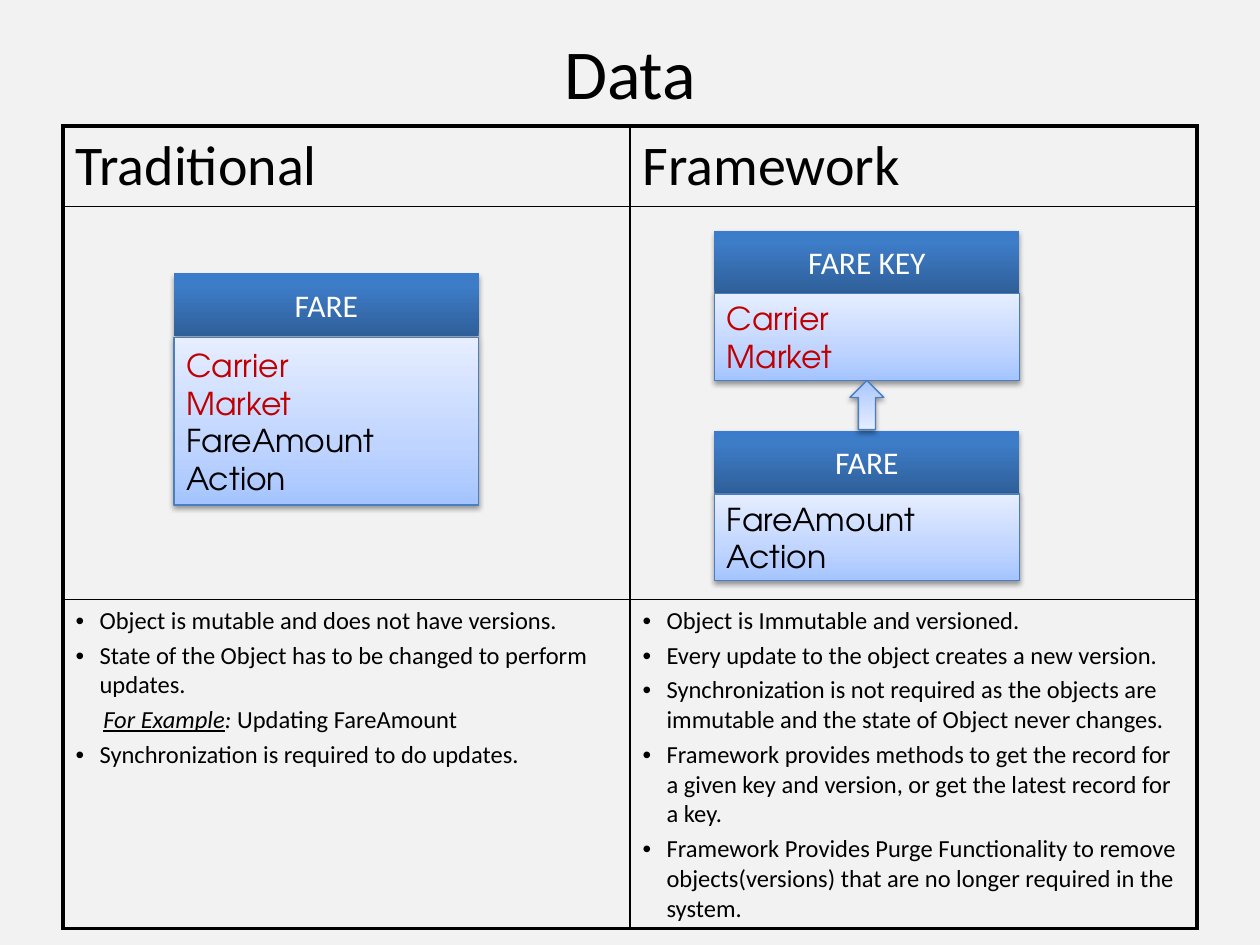
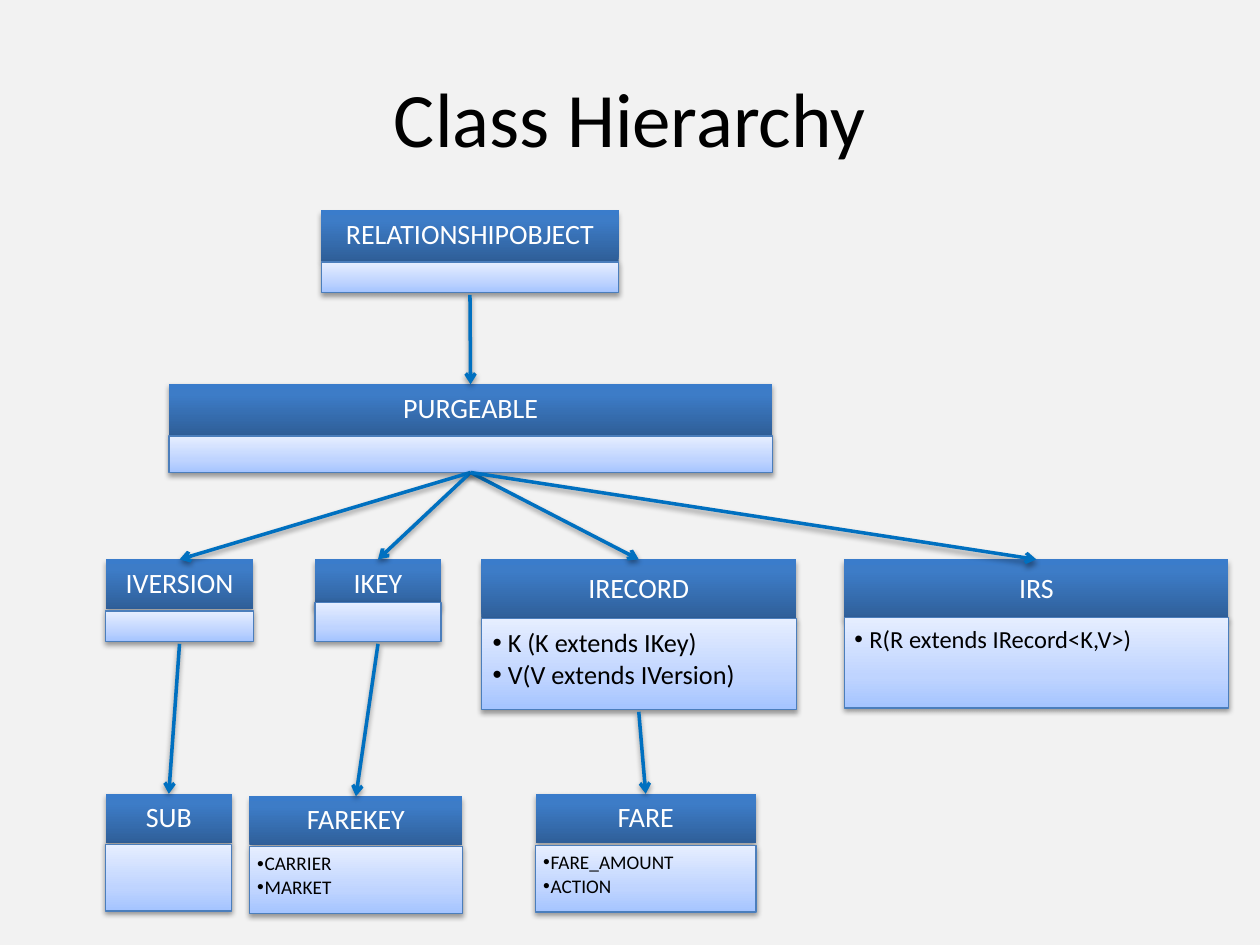
from pptx import Presentation
from pptx.dml.color import RGBColor
from pptx.enum.shapes import MSO_CONNECTOR, MSO_SHAPE
from pptx.enum.text import MSO_ANCHOR, PP_ALIGN
from pptx.oxml import parse_xml
from pptx.oxml.ns import nsdecls
from pptx.util import Inches, Pt

# Shared look
BACK, BLACK, WHITE, RED = "F2F2F2", "000000", "FFFFFF", "C00000"
EDGE, ARROW = "4B7EBC", "0070C0"
SANS, ROUND = "Calibri", "TeX Gyre Adventor"
DARK = [(0, "2F5F99"), (80, "3D7CC7"), (100, "3A7CCB")]
LIGHT = [(0, "A4C4FF"), (35, "BFD4FF"), (100, "E6EEFF")]
DARK_SHADOW, LIGHT_SHADOW = (35, 3.1, 1.8), (38, 3.1, 1.6)  # alpha, blur, distance
PLAIN_INSETS = (0.1, 0.05, 0.1, 0.05)
HEAD_INSETS = (0.12, 0.07, 0.12, 0.07)

# Slide 1: comparison table
TABLE_LEFT, TABLE_TOP, COL_W = 0.5, 1, 4.5
ROW_H = [0.64, 3.12, 2.61]
HEADINGS = ["Traditional", "Framework"]
EXAMPLE = [("For Example", {"italic": True, "underline": True}),
           (": ", {"italic": True}), ("Updating FareAmount", {})]
POINTS = [
    ["Object is mutable and does not have versions.",
     "State of the Object has to be changed to perform updates.",
     EXAMPLE,
     "Synchronization is required to do updates."],
    ["Object is Immutable and versioned.",
     "Every update to the object creates a new version.",
     "Synchronization is not required as the objects are immutable and the "
     "state of Object never changes.",
     "Framework provides methods to get the record for a given key and "
     "version, or get the latest record for a key.",
     "Framework Provides Purge Functionality to remove objects(versions) that "
     "are no longer required in the system."],
]
KEY_FIELDS = [("Carrier", RED), ("Market", RED)]
VALUE_FIELDS = [("FareAmount", BLACK), ("Action", BLACK)]
ENTITY_W, ENTITY_HEAD = 2.42, 0.5
# name, left, top, gap under the head, body height, fields
ENTITIES = [
    ("FARE", 1.38, 2.17, 0.01, 1.33, KEY_FIELDS + VALUE_FIELDS),
    ("FARE KEY", 5.67, 1.83, 0, 0.69, KEY_FIELDS),
    ("FARE", 5.67, 3.42, 0, 0.69, VALUE_FIELDS),
]
LINK_W, LINK_H = 0.27, 0.39

# Slide 2: class boxes on four levels
ROOT, BASE, TYPES, LEAVES = 1.67, 3.05, 4.44, 6.3
ROOMY = {"size": 15, "insets": (0.09, 0.09, 0.12, 0.13), "indent": 0.12}
MEDIUM = {"size": 14, "insets": (0.08, 0.08, 0.11, 0.12), "indent": 0.12}
SMALL = {"size": 11, "insets": (0.06, 0.06, 0.09, 0.1), "indent": 0.06}
# name: left, top, width, head height, body offset, body height, members, style
CLASSES = {
    "PURGEABLE": (1.34, BASE, 4.79, 0.4, 0.41, 0.29, [], SMALL),
    "IKEY": (2.5, TYPES, 1, 0.39, 0.34, 0.31, [], SMALL),
    "IRECORD": (3.82, TYPES, 2.5, 0.47, 0.47, 0.72,
                ["K (K extends IKey)", "V(V extends IVersion)"], ROOMY),
    "IRS": (6.7, TYPES, 3.05, 0.47, 0.46, 0.72,
            ["R(R extends IRecord<K,V>)"], MEDIUM),
    "IVERSION": (0.84, TYPES, 1.17, 0.39, 0.41, 0.24, [], SMALL),
    "RELATIONSHIPOBJECT": (2.55, ROOT, 2.36, 0.4, 0.41, 0.24, [], SMALL),
    "FAREKEY": (1.98, LEAVES + 0.02, 1.69, 0.39, 0.4, 0.53,
                ["CARRIER", "MARKET"], SMALL),
    "FARE": (4.25, LEAVES, 1.75, 0.39, 0.41, 0.53,
             ["FARE_AMOUNT", "ACTION"], SMALL),
    "SUB": (0.84, LEAVES, 1, 0.39, 0.4, 0.53, [], SMALL),
}
# parent, gap before the arrow starts, children
LINKS = [
    ("RELATIONSHIPOBJECT", 0.02, ["PURGEABLE"]),
    ("PURGEABLE", 0, ["IVERSION", "IKEY", "IRECORD", "IRS"]),
    ("IVERSION", 0.02, ["SUB"]),
    ("IKEY", 0.02, ["FAREKEY"]),
    ("IRECORD", 0.02, ["FARE"]),
]


def rgb(value):
    """Turn a hex string into a colour."""
    return RGBColor.from_string(value)


def color_xml(value, alpha=100):
    """Return colour markup with an opacity in percent."""
    return f'<a:srgbClr val="{value}"><a:alpha val="{alpha * 1000}"/></a:srgbClr>'


def set_gradient(sp, stops):
    """Fill a new shape with a gradient that runs upwards."""
    gs = "".join(f'<a:gs pos="{pos * 1000}">{color_xml(c)}</a:gs>' for pos, c in stops)
    sp._element.spPr.append(parse_xml(
        f'<a:gradFill {nsdecls("a")} rotWithShape="1"><a:gsLst>{gs}</a:gsLst>'
        '<a:lin ang="16200000" scaled="0"/></a:gradFill>'))


def set_shadow(sp, alpha, blur, dist):
    """Append a soft shadow that falls straight down."""
    sp._element.spPr.append(parse_xml(
        f'<a:effectLst {nsdecls("a")}><a:outerShdw blurRad="{Pt(blur)}" '
        f'dist="{Pt(dist)}" dir="5400000" rotWithShape="0">'
        f'{color_xml(BLACK, alpha)}</a:outerShdw></a:effectLst>'))


def set_frame(tf, insets=PLAIN_INSETS, anchor=MSO_ANCHOR.MIDDLE):
    """Set wrapping, insets and anchor of a text frame."""
    sides = ("margin_left", "margin_top", "margin_right", "margin_bottom")
    for side, value in zip(sides, insets):
        setattr(tf, side, Inches(value))
    tf.word_wrap, tf.vertical_anchor = True, anchor


def add_line(tf, first, text, size, color=BLACK, font=SANS, bullet=0, indent=0, **fmt):
    """Write one paragraph; text is a string or a list of (text, format) runs."""
    p = tf.paragraphs[0] if first else tf.add_paragraph()
    for name, value in {"alignment": PP_ALIGN.LEFT, **fmt}.items():
        setattr(p, name, value)
    for part, style in [(text, {})] if isinstance(text, str) else text:
        r = p.add_run()
        r.text = part
        r.font.color.rgb = rgb(color)
        for name, value in {"name": font, "size": Pt(size), **style}.items():
            setattr(r.font, name, value)
    pPr = p._p.get_or_add_pPr()
    pPr.set("marL", str(Inches(bullet or indent)))
    pPr.set("indent", str(-Inches(bullet)))
    if bullet:
        pPr.append(parse_xml(f'<a:buFont {nsdecls("a")} typeface="Arial"/>'))
        pPr.append(parse_xml(f'<a:buChar {nsdecls("a")} char="•"/>'))


def add_box(slide, x, y, w, h, stops, shadow, line=None, kind=MSO_SHAPE.RECTANGLE):
    """Add a gradient shape with a shadow and an optional outline."""
    sp = slide.shapes.add_shape(kind, *map(Inches, (x, y, w, h)))
    set_gradient(sp, stops)
    if line:
        sp.line.color.rgb, sp.line.width = rgb(line), Pt(0.75)
    else:
        sp.line.fill.background()
    set_shadow(sp, *shadow)
    return sp


def add_head(slide, text, x, y, w, h, size, insets=PLAIN_INSETS, **fmt):
    """Add a dark name band."""
    tf = add_box(slide, x, y, w, h, DARK, DARK_SHADOW).text_frame
    set_frame(tf, insets)
    add_line(tf, True, text, size, WHITE, alignment=PP_ALIGN.CENTER, **fmt)


def add_body(slide, x, y, w, h, insets, anchor):
    """Add a light body and return its text frame."""
    tf = add_box(slide, x, y, w, h, LIGHT, LIGHT_SHADOW, EDGE).text_frame
    set_frame(tf, insets, anchor)
    return tf


def add_arrow(slide, start, end):
    """Draw an arrow between two points."""
    cn = slide.shapes.add_connector(MSO_CONNECTOR.STRAIGHT, *map(Inches, start + end))
    cn.line.color.rgb, cn.line.width = rgb(ARROW), Pt(2)
    cn.line._get_or_add_ln().append(parse_xml(f'<a:tailEnd {nsdecls("a")} type="arrow"/>'))
    set_shadow(cn, *LIGHT_SHADOW)


def add_slide(prs, title, at, size, **fmt):
    """Add a blank slide with the shared background and a centred title."""
    slide = prs.slides.add_slide(prs.slide_layouts[6])
    slide.background.fill.solid()
    slide.background.fill.fore_color.rgb = rgb(BACK)
    tf = slide.shapes.add_textbox(*map(Inches, at)).text_frame
    set_frame(tf)
    add_line(tf, True, title, size, alignment=PP_ALIGN.CENTER, **fmt)
    return slide


def set_borders(cell, row, col):
    """Rule a cell: thick on the outside of the table, thin inside."""
    outer = {"L": col == 0, "R": col == len(HEADINGS) - 1,
             "T": row == 0, "B": row == len(ROW_H) - 1}
    cell.fill.background()
    for i, (side, thick) in enumerate(outer.items()):
        cell._tc.get_or_add_tcPr().insert(i, parse_xml(
            f'<a:ln{side} {nsdecls("a")} w="{Pt(2.25 if thick else 1)}">'
            f'<a:solidFill>{color_xml(BLACK)}</a:solidFill></a:ln{side}>'))


def add_comparison(slide):
    """Add the table with headings on top and bullet points below."""
    n = len(HEADINGS)
    size = (TABLE_LEFT, TABLE_TOP, n * COL_W, sum(ROW_H))
    table = slide.shapes.add_table(len(ROW_H), n, *map(Inches, size)).table
    table.first_row = table.horz_banding = False
    for row, height in enumerate(ROW_H):
        table.rows[row].height = Inches(height)
        for col in range(n):
            set_borders(table.cell(row, col), row, col)
    for col in range(n):
        table.columns[col].width = Inches(COL_W)
        add_line(table.cell(0, col).text_frame, True, HEADINGS[col], 32,
                 space_before=Pt(6.4))
        for i, point in enumerate(POINTS[col]):
            place = {"indent": 0.22} if point is EXAMPLE else {"bullet": 0.19}
            add_line(table.cell(2, col).text_frame, i == 0, point, 14,
                     space_before=Pt(2.8), **place)


def add_entity(slide, name, x, y, gap, body_h, fields):
    """Add a data object: a name band over its fields."""
    add_head(slide, name, x, y, ENTITY_W, ENTITY_HEAD, 18)
    tf = add_body(slide, x, y + ENTITY_HEAD + gap, ENTITY_W, body_h,
                  PLAIN_INSETS, MSO_ANCHOR.MIDDLE)
    for i, (field, color) in enumerate(fields):
        add_line(tf, i == 0, field, 18, color, ROUND)


def add_class(slide, name, x, y, w, head_h, offset, body_h, members, style):
    """Add a class: a name band over its members."""
    size = style["size"]
    add_head(slide, name, x, y, w, head_h, 16, HEAD_INSETS, line_spacing=0.9)
    tf = add_body(slide, x, y + offset, w, body_h, style["insets"], MSO_ANCHOR.TOP)
    for i, member in enumerate(members):
        add_line(tf, i == 0, member, size, bullet=style["indent"],
                 line_spacing=0.9, space_after=Pt(0.15 * size))


def top(name):
    """Return the top middle of a class box."""
    x, y, w = CLASSES[name][:3]
    return x + w / 2, y


def bottom(name, gap):
    """Return the point a gap below the bottom middle of a class box."""
    x, y, w, _, offset, body_h = CLASSES[name][:6]
    return x + w / 2, y + offset + body_h + gap


prs = Presentation()
prs.slide_width, prs.slide_height = Inches(10), Inches(7.5)

data = add_slide(prs, "Data", (3.41, 0.33, 3.18, 0.56), 40, line_spacing=0.9)
add_comparison(data)
for entity in ENTITIES:
    add_entity(data, *entity)
_, key_x, key_y, key_gap, key_h, _ = ENTITIES[1]
link = add_box(data, key_x + (ENTITY_W - LINK_W) / 2, key_y + ENTITY_HEAD + key_gap + key_h,
               LINK_W, LINK_H, LIGHT, LIGHT_SHADOW, EDGE, MSO_SHAPE.DOWN_ARROW)
link.rotation = 180

hierarchy = add_slide(prs, "Class Hierarchy", (0.5, 0.3, 9, 1.25), 44)
for name, layout in CLASSES.items():
    add_class(hierarchy, name, *layout)
for parent, gap, children in LINKS:
    for child in children:
        add_arrow(hierarchy, bottom(parent, gap), top(child))

prs.save("out.pptx")
